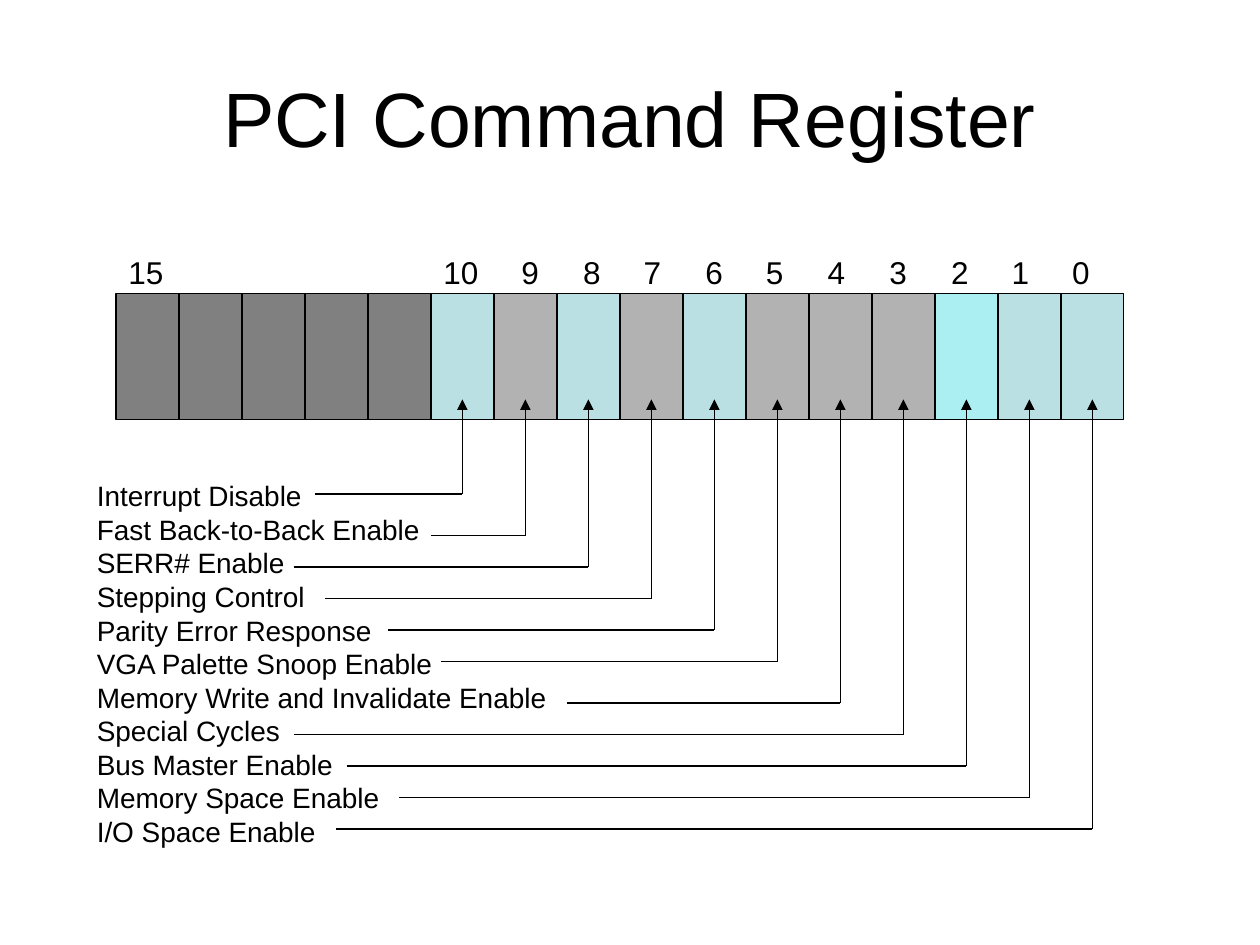
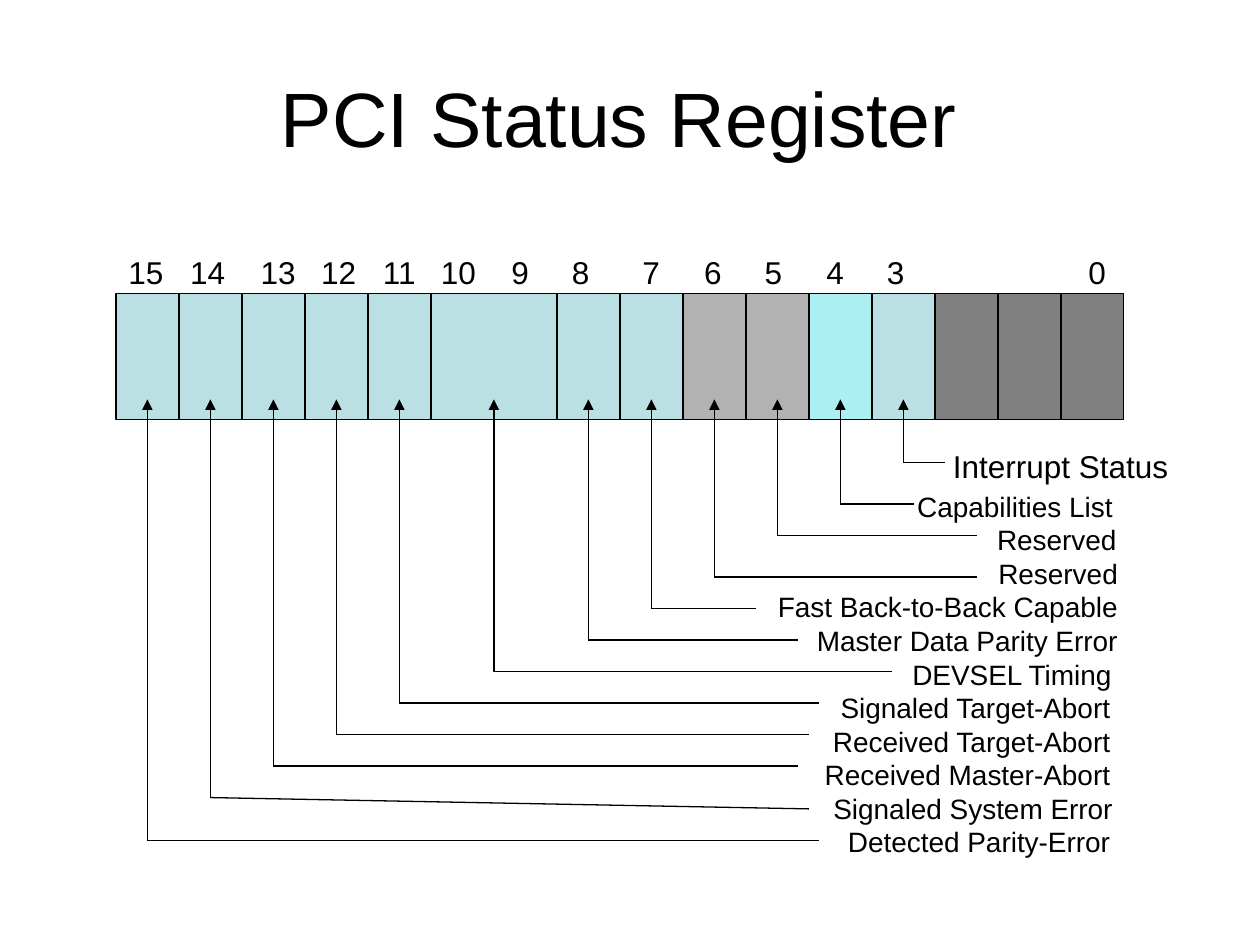
"""Build two slides that explain the bits of the PCI command and status registers."""
import dataclasses
import typing

import lxml.etree
import pptx
import pptx.dml.color
import pptx.enum.shapes
import pptx.enum.text
import pptx.oxml
import pptx.oxml.ns
import pptx.presentation
import pptx.slide
import pptx.text.text
import pptx.util

Inches = pptx.util.Inches
Pt = pptx.util.Pt
RGB = pptx.dml.color.RGBColor
Align = pptx.enum.text.PP_ALIGN


@dataclasses.dataclass(frozen=True)
class Theme:
    font: str = "Arial"
    ink: str = "000000"
    unused: str = "808080"
    fixed: str = "B2B2B2"
    active: str = "BBE0E3"
    highlight: str = "ACEFF2"
    title_size: float = 44
    number_size: float = 18
    label_size: float = 16
    leading: float = 1.2
    line_width: float = 0.75


THEME = Theme()
CELL_LEFT, CELL_TOP = 0.92, 2.33
CELL_WIDTH, CELL_HEIGHT = 0.5, 1.0
ARROW_TIP = 3.17
TEXT_INSET = 0.1


class Area(typing.NamedTuple):
    left: float
    top: float
    width: float
    height: float

    @property
    def text_right(self) -> float:
        return self.left + self.width - TEXT_INSET


TITLE_AREA = Area(0.5, 0.3, 9, 1.25)
NUMBER_AREA = Area(0.65, 1.96, 8.26, 0.4)


class Callout(typing.NamedTuple):
    label: str
    lead_x: float
    elbow_y: float
    text_end: float | None = None
    lead_y: float | None = None
    size: float = THEME.label_size


class Field(typing.NamedTuple):
    shade: str
    callout: Callout | None = None
    span: int = 1


@dataclasses.dataclass(frozen=True)
class Register:
    title: str
    numbers: dict[int, float]
    label_area: Area
    fields: list[Field]


COMMAND = Register(
    "PCI Command Register",
    {15: 1.16, 10: 3.66, 9: 4.21, 8: 4.7, 7: 5.18, 6: 5.67,
     5: 6.15, 4: 6.64, 3: 7.13, 2: 7.62, 1: 8.1, 0: 8.58},
    Area(0.67, 3.75, 3.77, 3.03),
    [Field(THEME.unused)] * 5 + [
        Field(THEME.active, Callout("Interrupt Disable", 2.5, 3.92)),
        Field(THEME.fixed, Callout("Fast Back-to-Back Enable", 3.42, 4.25)),
        Field(THEME.active, Callout("SERR# Enable", 2.33, 4.5)),
        Field(THEME.fixed, Callout("Stepping Control", 2.58, 4.75)),
        Field(THEME.active, Callout("Parity Error Response", 3.08, 5)),
        Field(THEME.fixed, Callout("VGA Palette Snoop Enable", 3.5, 5.25)),
        Field(THEME.fixed, Callout("Memory Write and Invalidate Enable", 4.5, 5.58)),
        Field(THEME.fixed, Callout("Special Cycles", 2.33, 5.83)),
        Field(THEME.highlight, Callout("Bus Master Enable", 2.75, 6.08)),
        Field(THEME.active, Callout("Memory Space Enable", 3.17, 6.33)),
        Field(THEME.active, Callout("I/O Space Enable", 2.67, 6.58)),
    ],
)

STATUS = Register(
    "PCI Status Register ",
    {15: 1.16, 14: 1.65, 13: 2.21, 12: 2.69, 11: 3.17, 10: 3.64, 9: 4.13,
     8: 4.61, 7: 5.17, 6: 5.66, 5: 6.14, 4: 6.63, 3: 7.11, 0: 8.71},
    Area(4.83, 3.5, 4.62, 3.37),
    [
        Field(THEME.active, Callout("Detected Parity-Error", 6.5, 6.67, 8.81)),
        Field(THEME.active, Callout("Signaled System Error", 6.42, 6.33, 8.83, lead_y=6.42)),
        Field(THEME.active, Callout("Received Master-Abort", 6.33, 6.08, 8.81)),
        Field(THEME.active, Callout("Received Target-Abort", 6.42, 5.83, 8.81)),
        Field(THEME.active, Callout("Signaled Target-Abort", 6.5, 5.58, 8.81)),
        Field(THEME.active, Callout("DEVSEL Timing", 7.08, 5.33, 8.82), span=2),
        Field(THEME.active, Callout("Master Data Parity Error", 6.33, 5.08, 8.87)),
        Field(THEME.active, Callout("Fast Back-to-Back Capable", 6, 4.83, 8.87)),
        Field(THEME.fixed, Callout("Reserved", 7.75, 4.58, 8.87)),
        Field(THEME.fixed, Callout("Reserved", 7.75, 4.25, 8.86)),
        Field(THEME.highlight, Callout("Capabilities List", 7.25, 4, 8.83)),
        Field(THEME.active, Callout("Interrupt Status", 7.5, 3.67, 9.27, size=18)),
    ] + [Field(THEME.unused)] * 3,
)


def style_paragraph(para: pptx.text.text._Paragraph, size: float, align: Align) -> None:
    para.alignment = align
    para.font.name = THEME.font
    para.font.size = Pt(size)
    para.font.color.rgb = RGB.from_string(THEME.ink)


def add_text_frame(page: pptx.slide.Slide, area: Area) -> pptx.text.text.TextFrame:
    box = page.shapes.add_textbox(*map(Inches, area))
    box.text_frame.word_wrap = True
    return box.text_frame


def draw_title(page: pptx.slide.Slide, text: str) -> None:
    title = page.shapes.title
    title.left, title.top, title.width, title.height = map(Inches, TITLE_AREA)
    frame = title.text_frame
    frame.text = text
    frame.auto_size = pptx.enum.text.MSO_AUTO_SIZE.NONE
    frame.vertical_anchor = pptx.enum.text.MSO_ANCHOR.MIDDLE
    style_paragraph(frame.paragraphs[0], THEME.title_size, Align.CENTER)


def draw_numbers(page: pptx.slide.Slide, numbers: dict[int, float]) -> None:
    para = add_text_frame(page, NUMBER_AREA).paragraphs[0]
    para.text = "".join(f"\t{number}" for number in numbers)
    style_paragraph(para, THEME.number_size, Align.LEFT)
    para.line_spacing = Pt(THEME.leading * THEME.number_size)
    tabs = pptx.oxml.parse_xml(f"<a:tabLst {pptx.oxml.ns.nsdecls('a')}/>")
    for center in numbers.values():
        stop = lxml.etree.SubElement(tabs, pptx.oxml.ns.qn("a:tab"))
        stop.set("pos", str(Inches(center - NUMBER_AREA.left - TEXT_INSET)))
        stop.set("algn", "ctr")
    para._p.get_or_add_pPr().insert_element_before(tabs, "a:defRPr", "a:extLst")


def draw_labels(page: pptx.slide.Slide, area: Area, callouts: list[Callout]) -> None:
    frame = add_text_frame(page, area)
    for index, callout in enumerate(sorted(callouts, key=lambda item: item.elbow_y)):
        para = frame.add_paragraph() if index else frame.paragraphs[0]
        para.text = callout.label
        style_paragraph(para, callout.size, Align.RIGHT if callout.text_end else Align.LEFT)
        para.line_spacing = Pt(THEME.leading * callout.size)
        para.space_after = Pt(THEME.leading * (callout.size - THEME.label_size))
        if callout.text_end:
            margin = Inches(area.text_right - callout.text_end)
            para._p.get_or_add_pPr().set("marR", str(margin))


def draw_line(page: pptx.slide.Slide, start: tuple[float, float],
              end: tuple[float, float], arrow: bool = False) -> None:
    line = page.shapes.add_connector(
        pptx.enum.shapes.MSO_CONNECTOR.STRAIGHT, *map(Inches, start + end))
    line.line.color.rgb = RGB.from_string(THEME.ink)
    line.line.width = Pt(THEME.line_width)
    if arrow:
        head = lxml.etree.SubElement(line.line._get_or_add_ln(), pptx.oxml.ns.qn("a:tailEnd"))
        head.set("type", "triangle")
    lxml.etree.SubElement(line._element.spPr, pptx.oxml.ns.qn("a:effectLst"))


def draw_cell(page: pptx.slide.Slide, field: Field, left: float) -> None:
    area = Area(left, CELL_TOP, field.span * CELL_WIDTH, CELL_HEIGHT)
    cell = page.shapes.add_shape(
        pptx.enum.shapes.MSO_SHAPE.RECTANGLE, *map(Inches, area))
    cell.shadow.inherit = False
    cell.fill.solid()
    cell.fill.fore_color.rgb = RGB.from_string(field.shade)
    cell.line.color.rgb = RGB.from_string(THEME.ink)
    cell.line.width = Pt(THEME.line_width)


def draw_callout(page: pptx.slide.Slide, callout: Callout, center: float) -> None:
    elbow = (center, callout.elbow_y)
    draw_line(page, (callout.lead_x, callout.lead_y or callout.elbow_y), elbow)
    draw_line(page, elbow, (center, ARROW_TIP), arrow=True)


def draw_register(deck: pptx.presentation.Presentation, register: Register) -> None:
    page = deck.slides.add_slide(deck.slide_layouts.get_by_name("Title Only"))
    draw_title(page, register.title)
    left = CELL_LEFT
    centers = []
    for field in register.fields:
        draw_cell(page, field, left)
        width = field.span * CELL_WIDTH
        centers.append(left + width / 2)
        left += width
    draw_numbers(page, register.numbers)
    draw_labels(page, register.label_area,
                [field.callout for field in register.fields if field.callout])
    for field, center in zip(register.fields, centers):
        if field.callout:
            draw_callout(page, field.callout, center)


def main() -> None:
    deck = pptx.Presentation()
    deck.slide_width, deck.slide_height = Inches(10), Inches(7.5)
    for register in (COMMAND, STATUS):
        draw_register(deck, register)
    deck.save("out.pptx")


if __name__ == "__main__":
    main()
